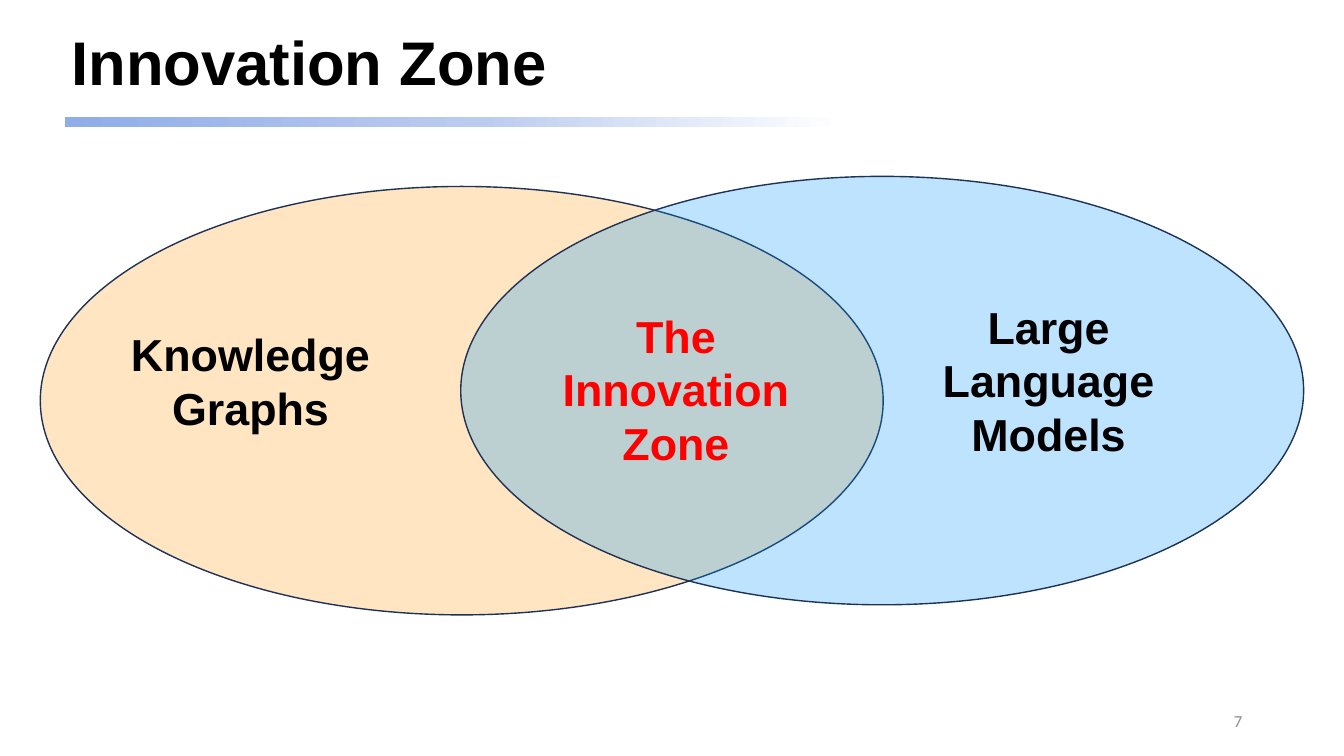
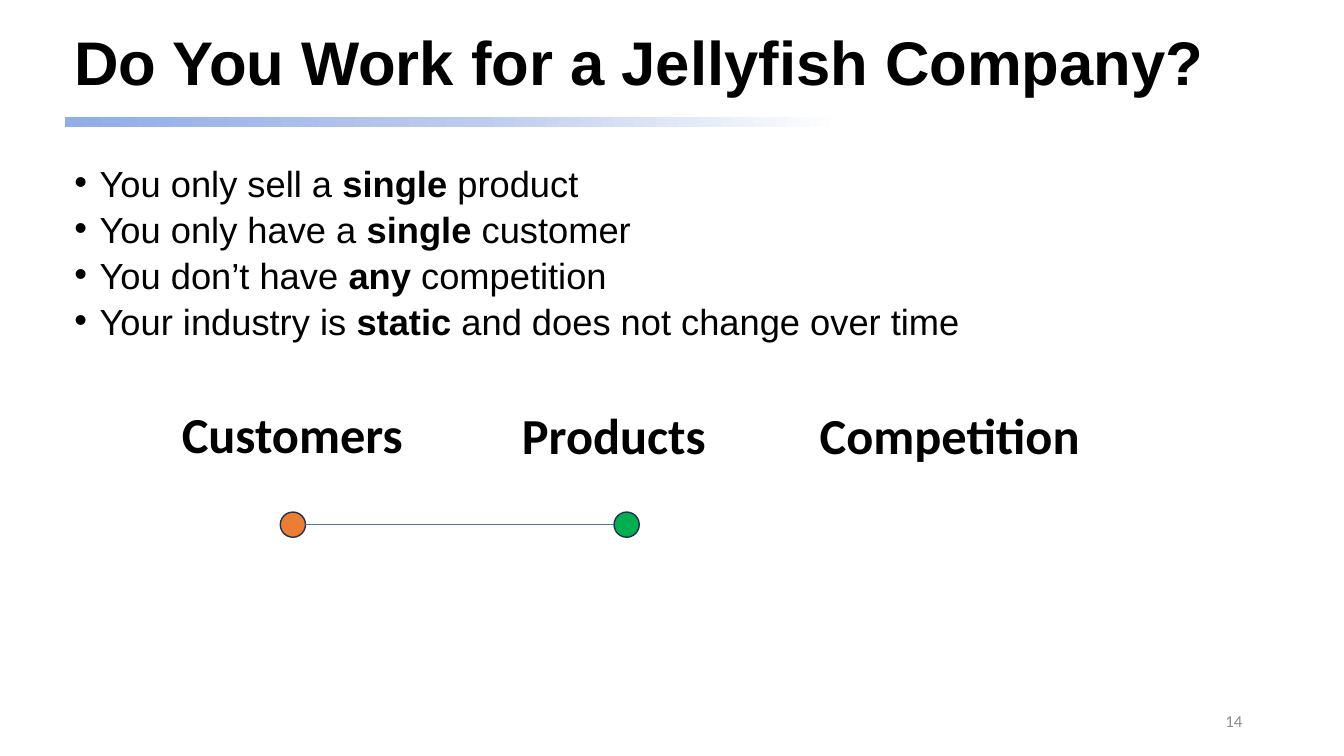
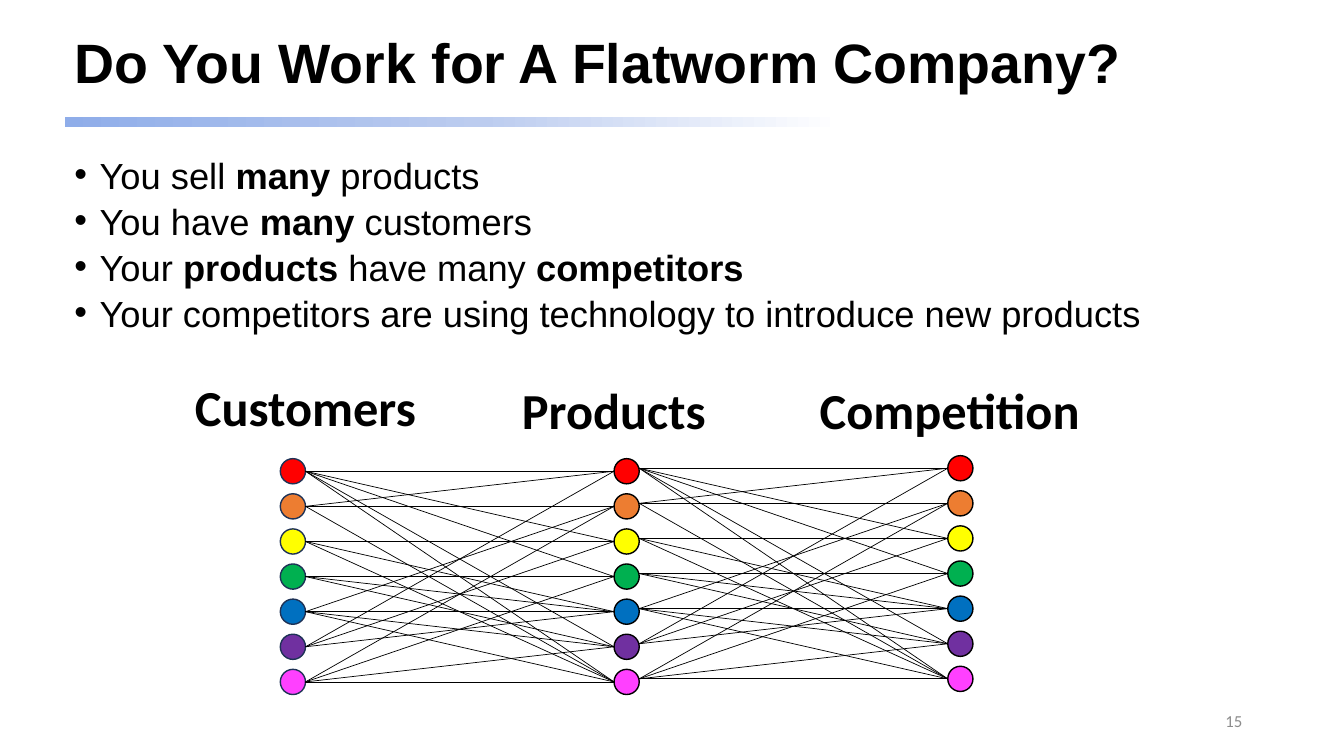
from copy import deepcopy
from dataclasses import dataclass, field

from lxml.etree import SubElement
from pptx import Presentation
from pptx.dml.color import RGBColor
from pptx.enum.shapes import MSO_CONNECTOR, MSO_SHAPE
from pptx.enum.text import MSO_ANCHOR, PP_ALIGN
from pptx.oxml.ns import qn
from pptx.util import Inches, Pt


def style(name, size, color="000000", bold=False):
    """Return the format values of one text style."""
    return {"name": name, "size": Pt(size), "bold": bold, "color": color}


@dataclass(frozen=True)
class Theme:
    """Hold the colours, type styles and measures of the deck."""
    black: str = "000000"
    navy: str = "1E3256"
    blue: str = "4472C4"
    orange: str = "ED7D31"
    green: str = "00B050"
    peach: str = "FF9300"
    sky: str = "0096FF"
    rainbow: tuple = ("FF0000", "ED7D31", "FFFF00", "00B050",
                      "0070C0", "7030A0", "FF40FF")
    fade: tuple = ((0, "8FADE9"), (0.36, "BCCCEF"), (0.67, "FFFFFF"))
    title: dict = field(default_factory=lambda: style("Arial", 44, bold=True))
    small: dict = field(default_factory=lambda: style("Arial", 39.6, bold=True))
    body: dict = field(default_factory=lambda: style("Arial", 25.9))
    zone: dict = field(default_factory=lambda: style("Arial", 32, bold=True))
    alert: dict = field(default_factory=lambda: style("Arial", 32, "FF0000", True))
    head: dict = field(default_factory=lambda: style("Calibri", 36, bold=True))
    page: dict = field(default_factory=lambda: style("Calibri", 12, "8C8C8C"))
    dot: float = 0.25
    row: float = 2.09 / 6
    pitch: float = 3.31


THEME = Theme()
MAIN = (0.64, 0.18, 11.5, 0.94)
LINKS = ((0, 2, 3, 5, 6), (0, 1, 6), (2, 4, 6), (3, 4, 5),
         (1, 4, 5, 6), (0, 2, 4), (1, 3, 5, 6))


def inches(box):
    """Turn a box of numbers into lengths."""
    return [Inches(n) for n in box]


def write(slide, box, lines, look, layout=None, anchor=MSO_ANCHOR.TOP,
          wrap=True, bullet=False):
    """Write lines in a text box; words between asterisks are bold."""
    frame = slide.shapes.add_textbox(*inches(box)).text_frame
    frame.word_wrap = wrap
    frame.vertical_anchor = anchor
    for num, line in enumerate(lines):
        para = frame.add_paragraph() if num else frame.paragraphs[0]
        if bullet:
            mark(para)
        for key, value in (layout or {}).items():
            if num or key != "space_before":
                setattr(para, key, value)
        for part, words in enumerate(line.split("*")):
            if words:
                run = para.add_run()
                run.text = words
                for key, value in look.items():
                    if key != "color":
                        setattr(run.font, key, value)
                run.font.color.rgb = RGBColor.from_string(look["color"])
                run.font.bold = look["bold"] or part % 2 == 1


def mark(para):
    """Give a paragraph a hanging bullet."""
    props = para._p.get_or_add_pPr()
    props.set("marL", str(Inches(0.25)))
    props.set("indent", str(-Inches(0.25)))
    SubElement(props, qn("a:buFont"), typeface="Arial")
    SubElement(props, qn("a:buChar"), char="•")


def oval(slide, box, color, ink, alpha=None):
    """Draw an outlined ellipse, see-through if alpha is given."""
    shape = slide.shapes.add_shape(MSO_SHAPE.OVAL, *inches(box))
    shape.shadow.inherit = False
    shape.fill.solid()
    shape.fill.fore_color.rgb = RGBColor.from_string(color)
    shape.line.color.rgb = RGBColor.from_string(ink)
    shape.line.width = Pt(1)
    if alpha:
        tint = shape._element.spPr.find(qn("a:solidFill"))[0]
        SubElement(tint, qn("a:alpha"), val=str(alpha * 1000))


def link(slide, start, end, color):
    """Draw a thin straight line between two points."""
    line = slide.shapes.add_connector(MSO_CONNECTOR.STRAIGHT,
                                      *inches((*start, *end)))
    line.line.color.rgb = RGBColor.from_string(color)
    line.line.width = Pt(0.5)
    SubElement(line._element.spPr, qn("a:effectLst"))


def band(slide, box):
    """Draw the fading band under the title."""
    bar = slide.shapes.add_shape(MSO_SHAPE.RECTANGLE, *inches(box))
    bar.shadow.inherit = False
    bar.line.fill.background()
    bar.fill.gradient()
    bar.fill.gradient_angle = 0
    stops = bar._element.spPr.find(".//" + qn("a:gsLst"))
    stops.append(deepcopy(stops[-1]))
    for stop, (place, color) in zip(bar.fill.gradient_stops, THEME.fade):
        stop.position = place
        stop.color.rgb = RGBColor.from_string(color)


def base(deck, title, page, look=THEME.title, box=MAIN):
    """Add a slide with its title, band and page number."""
    slide = deck.slides.add_slide(deck.slide_layouts[6])
    band(slide, (0.64, 1.16, 11.5, 0.1))
    write(slide, box, [title], look, {"line_spacing": 0.9}, MSO_ANCHOR.MIDDLE)
    write(slide, (9.42, 6.95, 3, 0.4), [str(page)], THEME.page,
          {"alignment": PP_ALIGN.RIGHT}, MSO_ANCHOR.MIDDLE)
    return slide


def points(slide, box, lines):
    """Write the bullet list."""
    write(slide, box, lines, THEME.body,
          {"line_spacing": 0.8, "space_before": Pt(8)}, bullet=True)


def heads(slide, places):
    """Write the column headings at their left and top places."""
    for place, word in zip(places, ("Customers", "Products", "Competition")):
        write(slide, (*place, 3.26, 0.71), [word], THEME.head,
              {"alignment": PP_ALIGN.CENTER})


def column(slide, left, top, colors, ink):
    """Stack one dot for each colour."""
    for num, color in enumerate(colors):
        oval(slide, (left, top + num * THEME.row, THEME.dot, THEME.dot),
             color, ink)


def net(slide, left, top, links, ink):
    """Join rows of a dot column at left to rows of the next column."""
    def level(num):
        """Return the middle height of a row."""
        return top + THEME.dot / 2 + num * THEME.row

    for num, ends in enumerate(links):
        for end in ends:
            link(slide, (left + THEME.dot, level(num)),
                 (left + THEME.pitch, level(end)), ink)


def venn(slide, box):
    """Draw two overlapping ellipses with their labels."""
    left, top, width, height = box
    oval(slide, (left, top + 0.1, width, height), THEME.peach, THEME.navy, 24)
    oval(slide, (left + 4.17, top, width, height), THEME.sky, THEME.navy, 26)
    labels = (((0.79, 1.44, 2.59, 1.18), "Knowledge Graphs", THEME.zone),
              ((8.84, 1.17, 2.32, 1.72), "Large Language Models", THEME.zone),
              ((5.07, 1.26, 2.47, 1.72), "The Innovation Zone", THEME.alert))
    for (over, down, wide, high), words, look in labels:
        write(slide, (left + over, top + down, wide, high), words.split(),
              look, {"alignment": PP_ALIGN.CENTER}, wrap=False)


def zone(deck):
    """Build the innovation zone slide."""
    slide = base(deck, "Innovation Zone", 7, box=(0.61, 0.02, 11.5, 1.26))
    venn(slide, (0.4, 1.75, 8.36, 4.25))


def jelly(deck):
    """Build the jellyfish company slide."""
    slide = base(deck, "Do You Work for a Jellyfish Company?", 14)
    points(slide, (0.64, 1.63, 11.5, 1.78), (
        "You only sell a *single* product",
        "You only have a *single* customer",
        "You don’t have *any* competition",
        "Your industry is *static* and does not change over time"))
    heads(slide, ((1.27, 3.95), (4.46, 3.96), (7.79, 3.96)))
    left, top = 2.78, 5.08
    for num, color in enumerate((THEME.orange, THEME.green)):
        column(slide, left + num * THEME.pitch, top, [color], THEME.navy)
    net(slide, left, top, [[0]], THEME.blue)


def worm(deck):
    """Build the flatworm company slide."""
    slide = base(deck, "Do You Work for A Flatworm Company?", 15, THEME.small)
    points(slide, (0.64, 1.55, 11.5, 1.82), (
        "You sell *many* products",
        "You have *many* customers",
        "Your *products* have many *competitors*",
        "Your competitors are using technology to introduce new products"))
    heads(slide, ((1.4, 3.68), (4.46, 3.71), (7.79, 3.71)))
    left, top, rise = 2.78, 4.55, 0.03
    looks = ((0, THEME.navy), (0, THEME.black), (rise, THEME.black))
    for num, (lift, ink) in enumerate(looks):
        column(slide, left + num * THEME.pitch, top - lift, THEME.rainbow, ink)
    for num in range(2):
        net(slide, left + num * THEME.pitch, top - num * rise, LINKS,
            THEME.black)


def main():
    """Build and save the deck."""
    deck = Presentation()
    deck.slide_width, deck.slide_height = Inches(13.33), Inches(7.5)
    for build in (zone, jelly, worm):
        build(deck)
    deck.save("out.pptx")


if __name__ == "__main__":
    main()
